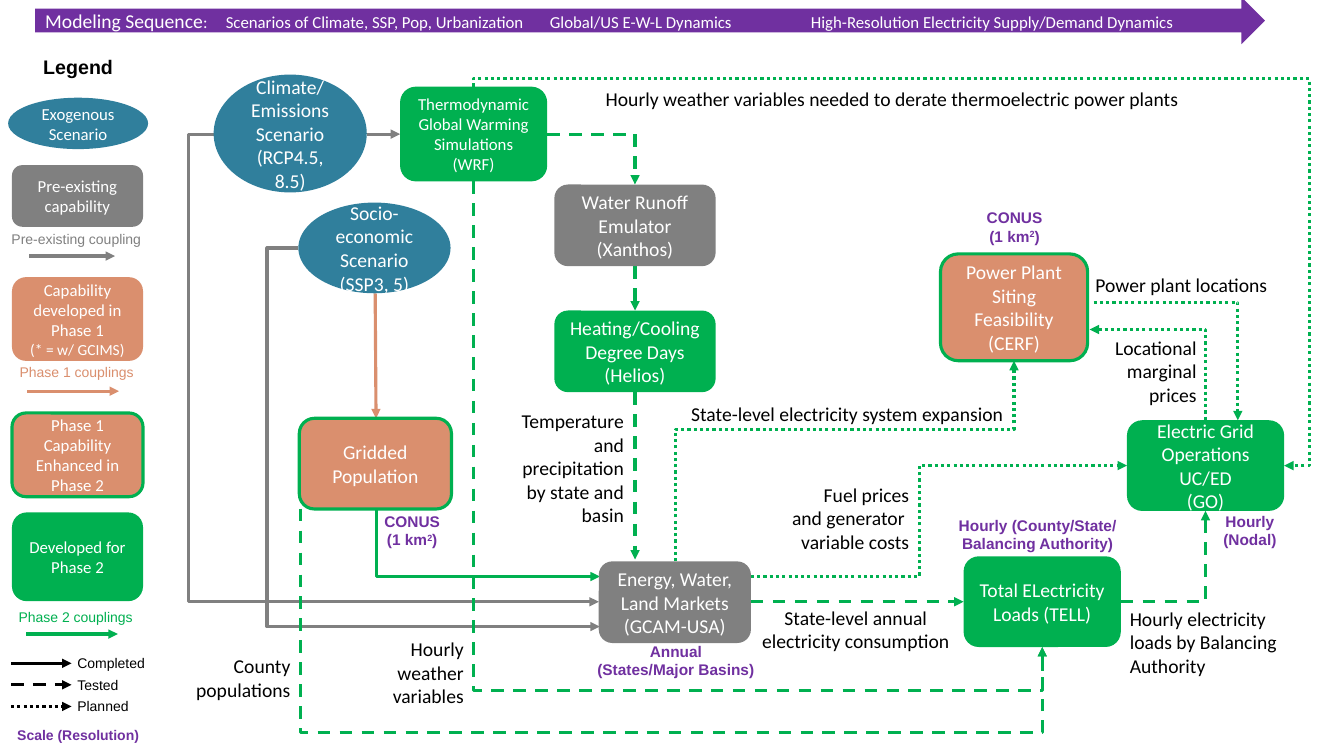
from dataclasses import dataclass
from lxml import etree
from pptx import Presentation
from pptx.dml.color import RGBColor
from pptx.enum import dml, shapes, text
from pptx.oxml import ns
from pptx.util import Pt

BLUE, GRAY, SALMON, GREEN = "307F9C", "808080", "DA8F6E", "00B050"
PURPLE, BLACK, WHITE = "7030A0", "000000", "FFFFFF"
OVAL, ROUNDED = shapes.MSO_SHAPE.OVAL, shapes.MSO_SHAPE.ROUNDED_RECTANGLE
LEFT, CENTER, RIGHT = text.PP_ALIGN.LEFT, text.PP_ALIGN.CENTER, text.PP_ALIGN.RIGHT
DONE, TESTED, PLANNED = None, dml.MSO_LINE.DASH, dml.MSO_LINE.ROUND_DOT


def color(value):
    return RGBColor.from_string(value)


def add_run(paragraph, words, size, font, fill, bold=False, raised=False):
    run = paragraph.add_run()
    run.text = words
    run.font.size, run.font.name, run.font.bold = Pt(size), font, bold
    run.font.color.rgb = color(fill)
    if raised:
        run.font._element.set("baseline", "30000")


def write(frame, words, sizes, font, fill, align, bold=False):
    for index, line in enumerate(words.split("\n")):
        paragraph = frame.add_paragraph() if index else frame.paragraphs[0]
        paragraph.alignment = align
        size = sizes[min(index, len(sizes) - 1)]
        for part, piece in enumerate(line.split("^")):
            add_run(paragraph, piece, size, font, fill, bold, part % 2 == 1)


@dataclass
class Region:
    slide: object
    left: float
    top: float

    def shape(self, kind, box, fill, outline=None):
        x, y, width, height = box
        shape = self.slide.shapes.add_shape(
            kind, Pt(self.left + x), Pt(self.top + y), Pt(width), Pt(height))
        shape.shadow.inherit = False
        shape.fill.solid()
        shape.fill.fore_color.rgb = color(fill)
        if outline:
            shape.line.color.rgb = color(outline)
            shape.line.width = Pt(2.25)
        else:
            shape.line.fill.background()
        shape.text_frame.word_wrap = True
        shape.text_frame.vertical_anchor = text.MSO_ANCHOR.MIDDLE
        return shape

    def node(self, words, box, fill, sizes=(14,), kind=ROUNDED, outline=None):
        shape = self.shape(kind, box, fill, outline)
        write(shape.text_frame, words, sizes, "Calibri", WHITE, CENTER)

    def label(self, words, box, size=14, font="Calibri", fill=BLACK, align=LEFT,
              bold=False, wrap=True):
        x, y, width, height = box
        frame = self.slide.shapes.add_textbox(
            Pt(self.left + x), Pt(self.top + y), Pt(width), Pt(height)).text_frame
        frame.word_wrap = wrap
        frame.auto_size = text.MSO_AUTO_SIZE.SHAPE_TO_FIT_TEXT
        write(frame, words, (size,), font, fill, align, bold)

    def route(self, points, fill, dash=DONE, arrow="tailEnd"):
        (x0, y0), (x1, y1) = points[0], points[-1]
        vertical = len(points) > 2 and points[1][0] == x0
        ends = x0, y0, x1, y1
        if vertical:
            middle_x, middle_y = (x0 + x1) / 2, (y0 + y1) / 2
            half_width = abs(y1 - y0) / 2
            half_height = abs(x1 - x0) / 2 * (1 if y1 > y0 else -1)
            ends = (middle_x + half_width, middle_y - half_height,
                    middle_x - half_width, middle_y + half_height)
        kind = shapes.MSO_CONNECTOR.ELBOW if len(points) > 2 else shapes.MSO_CONNECTOR.STRAIGHT
        offsets = (self.left, self.top) * 2
        connector = self.slide.shapes.add_connector(
            kind, *(Pt(end + offset) for end, offset in zip(ends, offsets)))
        connector.line.color.rgb = color(fill)
        connector.line.width = Pt(2.25)
        if dash:
            connector.line.dash_style = dash
        properties = connector._element.spPr
        if vertical:
            turn = 270 if y1 > y0 else 90
            properties.find(ns.qn("a:xfrm")).set("rot", str(turn * 60000))
        if len(points) > 2:
            geometry = properties.find(ns.qn("a:prstGeom"))
            geometry.set("prst", f"bentConnector{len(points) - 1}")
            guides = geometry.find(ns.qn("a:avLst"))
            for index, point in enumerate(points[1:-2], 1):
                axis = (index + 1 + vertical) % 2
                start, end = points[0][axis], points[-1][axis]
                ratio = round((point[axis] - start) / (end - start) * 100000) \
                    if index == 1 else \
                    round((points[index + 1][axis] - start) / (end - start) * 100000)
                name = f"adj{index}" if len(points) > 4 else "adj1"
                etree.SubElement(guides, ns.qn("a:gd"), name=name, fmla=f"val {ratio}")
        etree.SubElement(connector.line._get_or_add_ln(), ns.qn(f"a:{arrow}"), type="triangle")
        etree.SubElement(properties, ns.qn("a:effectLst"))


def add_banner(slide, left, top):
    region = Region(slide, left, top)
    banner = region.shape(shapes.MSO_SHAPE.RIGHT_ARROW, (0, 0, 878.4, 33.8), PURPLE)
    paragraph = banner.text_frame.paragraphs[0]
    paragraph.alignment = LEFT
    tabs = etree.SubElement(paragraph._p.get_or_add_pPr(), ns.qn("a:tabLst"))
    for stop in (129, 360.5, 547):
        etree.SubElement(tabs, ns.qn("a:tab"), pos=str(Pt(stop)), algn="l")
    add_run(paragraph, "Modeling Sequence", 14, "Calibri", WHITE)
    stages = (":", "Scenarios of Climate, SSP, Pop, Urbanization", "Global/US E-W-L Dynamics",
              "High-Resolution Electricity Supply/Demand Dynamics")
    add_run(paragraph, "\t".join(stages), 12, "Calibri", WHITE)


def add_legend(slide, left, top):
    legend = Region(slide, left, top)
    legend.label("Legend", (23.8, 0, 64.8, 24.5), 14, "Arial", bold=True, wrap=False)
    legend.node("Exogenous Scenario", (5.8, 33.8, 100, 36.7), BLUE, (12,), OVAL)
    for words, y, height, fill, outline in (
            ("Pre-existing capability", 82, 44, GRAY, None),
            ("Capability developed in Phase 1\n(* = w/ GCIMS)", 162, 59.8, SALMON, None),
            ("Phase 1 Capability Enhanced in Phase 2", 259, 59.8, SALMON, GREEN),
            ("Developed for Phase 2", 330, 63.4, GREEN, None)):
        legend.node(words, (8.6, y, 93.6, height), fill, (12, 11), ROUNDED, outline)
    for words, x, y, width, start, end, arrow_y, fill in (
            ("Pre-existing coupling", -1, 125.3, 110.9, 20.9, 82.1, 146.9, GRAY),
            ("Phase 1 couplings", 5, 220.3, 99.4, 19.4, 85, 243.4, SALMON),
            ("Phase 2 couplings", 4.3, 395.3, 99.4, 18.7, 84.2, 416.9, GREEN)):
        legend.label(words, (x, y, width, 19.4), 10, "Arial", fill, CENTER, wrap=False)
        legend.route([(start, arrow_y), (end, arrow_y)], fill)
    for row, (words, dash) in enumerate((("Completed", DONE), ("Tested", TESTED),
                                         ("Planned", PLANNED))):
        y = 437.8 + 15.4 * row
        legend.route([(7.9, y), (51.1, y)], BLACK, dash)
        legend.label(words, (48.2, y - 9.6, 64.8, 19.4), 10, "Arial")
    legend.label("Scale (Resolution)", (-2.2, 479.5, 115.9, 20.2), 10, "Arial", PURPLE, CENTER, True)


def add_diagram(slide, left, top):
    diagram = Region(slide, left, top)
    for points, fill, dash in (
            ([(26.6, 59.8), (8.6, 59.8), (8.6, 393.8), (301.7, 393.8)], GRAY, DONE),
            ([(87.1, 141.1), (64.8, 141.1), (64.8, 411.5), (302.4, 411.5)], GRAY, DONE),
            ([(136, 59.8), (159.8, 59.8)], GRAY, DONE),
            ([(142, 173.5), (142.6, 262.8)], SALMON, DONE),
            ([(142.6, 328.3), (142.6, 375.8), (302.4, 375.8)], GREEN, DONE),
            ([(674.6, 393.8), (735.1, 393.8), (735.1, 329)], GREEN, TESTED),
            ([(410.4, 393.8), (562.3, 393.8)], GREEN, TESTED),
            ([(212.4, 93.6), (212.4, 457.2), (618.5, 457.2), (618.5, 426.2)], GREEN, TESTED),
            ([(88.6, 296), (88.6, 487.4), (618.5, 487.4), (618.5, 426.2)], GREEN, TESTED),
            ([(265, 59.8), (327.6, 59.8), (327.6, 95.8)], GREEN, TESTED),
            ([(327.6, 154.1), (327.6, 185.8)], GREEN, TESTED),
            ([(327.6, 244.1), (327.6, 363.6)], GREEN, TESTED),
            ([(212.4, 25.9), (212.4, 20.2), (809.3, 20.2), (809.3, 296.6), (791.3, 296.6)],
             GREEN, PLANNED),
            ([(356.4, 365), (356.4, 270.7), (598.3, 270.7), (598.3, 221.8)], GREEN, PLANNED),
            ([(410.4, 375.8), (530.6, 375.8), (530.6, 296.6), (679, 296.6)], GREEN, PLANNED),
            ([(655.2, 180), (758.2, 180), (758.2, 264.2)], GREEN, PLANNED)):
        diagram.route(points, fill, dash)
    diagram.route([(652.3, 199.4), (735.1, 199.4), (735.1, 264.2)], GREEN, PLANNED, "headEnd")

    diagram.node("Climate/\nEmissions Scenario\n(RCP4.5, 8.5)", (26.6, 17.3, 109.4, 84.2),
                 BLUE, kind=OVAL)
    diagram.node("Socio-economic Scenario\n(SSP3, 5)", (87.1, 108.7, 108.7, 64.8), BLUE, kind=OVAL)
    diagram.node("Thermodynamic Global Warming Simulations (WRF)",
                 (159.8, 25.9, 105.1, 67.7), GREEN, (12,))
    for words, box, fill, outline in (
            ("Water Runoff Emulator\n(Xanthos)", (270, 95.8, 115.2, 58.3), GRAY, None),
            ("Heating/Cooling Degree Days\n(Helios)", (270, 185.8, 115.2, 58.3), GREEN, None),
            ("Gridded\nPopulation", (87.8, 262.8, 108.7, 64.8), SALMON, GREEN),
            ("Energy, Water, Land Markets\n(GCAM-USA)", (301.7, 365, 108.7, 58.3), GRAY, None),
            ("Total ELectricity Loads (TELL)", (562.3, 361.4, 112.3, 64.8), GREEN, None),
            ("Power Plant Siting Feasibility\n(CERF)", (545.8, 145.4, 105.1, 76.3), SALMON, GREEN),
            ("Electric Grid Operations UC/ED\n(GO)", (679, 264.2, 112.3, 64.8), GREEN, None)):
        diagram.node(words, box, fill, outline=outline)

    for words, box in (
            ("CONUS (1 km^2^)", (138.2, 326.2, 60.5, 33.8)),
            ("CONUS (1 km^2^)", (569.5, 109.4, 58.3, 33.8)),
            ("Annual\n(States/Major Basins)", (290.2, 419, 133.2, 33.8)),
            ("Hourly (Nodal)", (738.7, 326.2, 56.2, 33.8)),
            ("Hourly (County/State/ Balancing Authority)", (550.8, 329, 128.9, 33.8))):
        diagram.label(words, box, 11, "Arial", PURPLE, CENTER, True)
    for words, box, align in (
            ("Hourly weather variables needed to derate thermoelectric power plants",
             (299.5, 22.3, 476.6, 24.5), LEFT),
            ("Power plant locations", (649.4, 155.5, 141.1, 24.5), LEFT),
            ("Hourly electricity loads by Balancing Authority", (673.9, 393.8, 133.2, 58.3), LEFT),
            ("State-level annual electricity consumption", (410.4, 393.1, 149.8, 41), CENTER),
            ("State-level electricity system expansion", (356.4, 247.7, 245.5, 24.5), CENTER),
            ("Temperature and precipitation by state and basin", (235.4, 252.7, 91.4, 92.2), RIGHT),
            ("Fuel prices and generator \nvariable costs", (432, 305.3, 98.6, 58.3), RIGHT),
            ("Locational marginal prices", (660.2, 200.2, 75.6, 58.3), RIGHT),
            ("Hourly weather variables", (145.4, 415.4, 67, 58.3), RIGHT),
            ("County populations", (2.2, 427.7, 86.4, 41), RIGHT)):
        diagram.label(words, box, align=align)


presentation = Presentation()
presentation.slide_width, presentation.slide_height = Pt(960), Pt(540)
slide = presentation.slides.add_slide(presentation.slide_layouts[6])
add_banner(slide, 25.2, -2.2)
add_legend(slide, 0, 36)
add_diagram(slide, 126, 36)
presentation.save("out.pptx")
